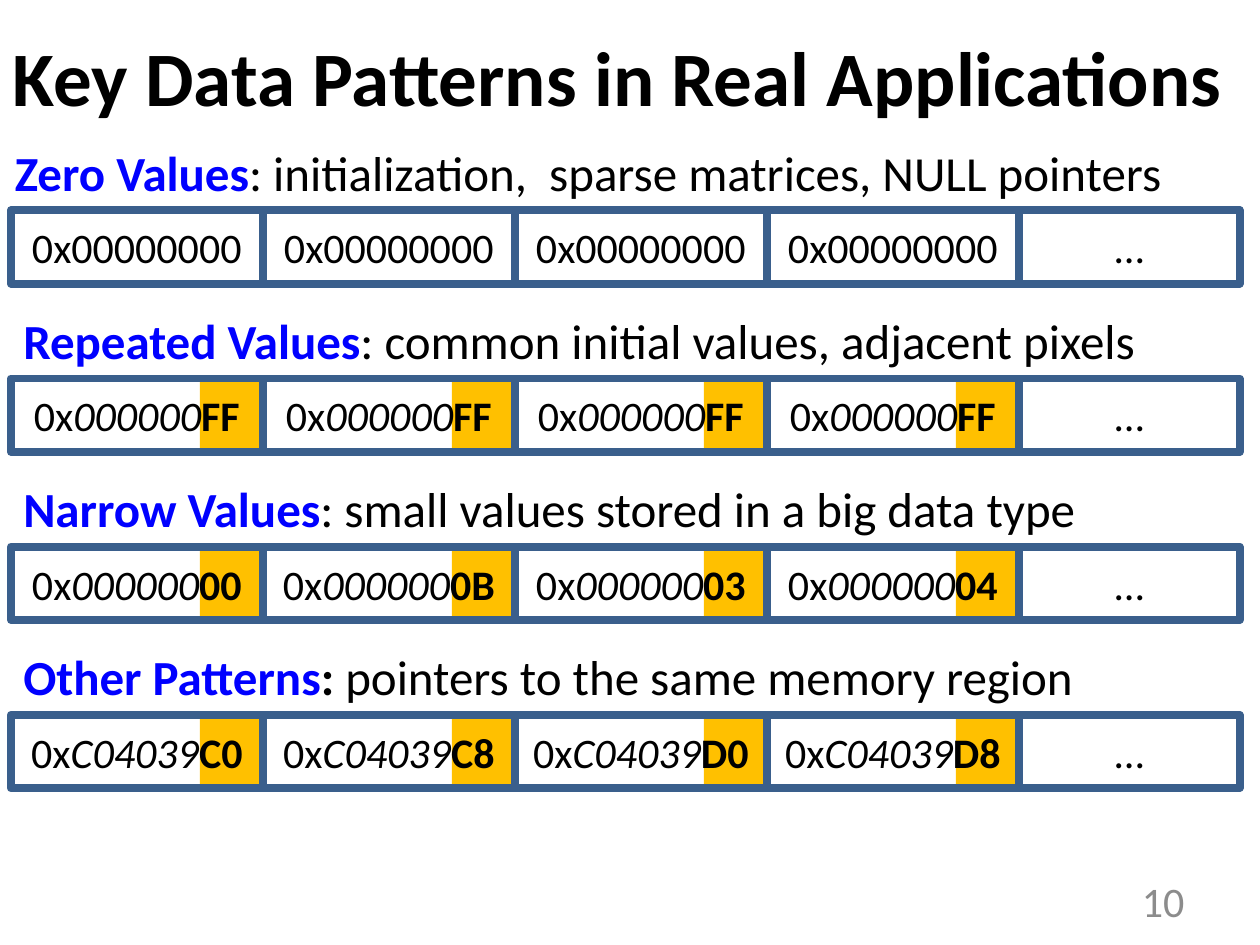
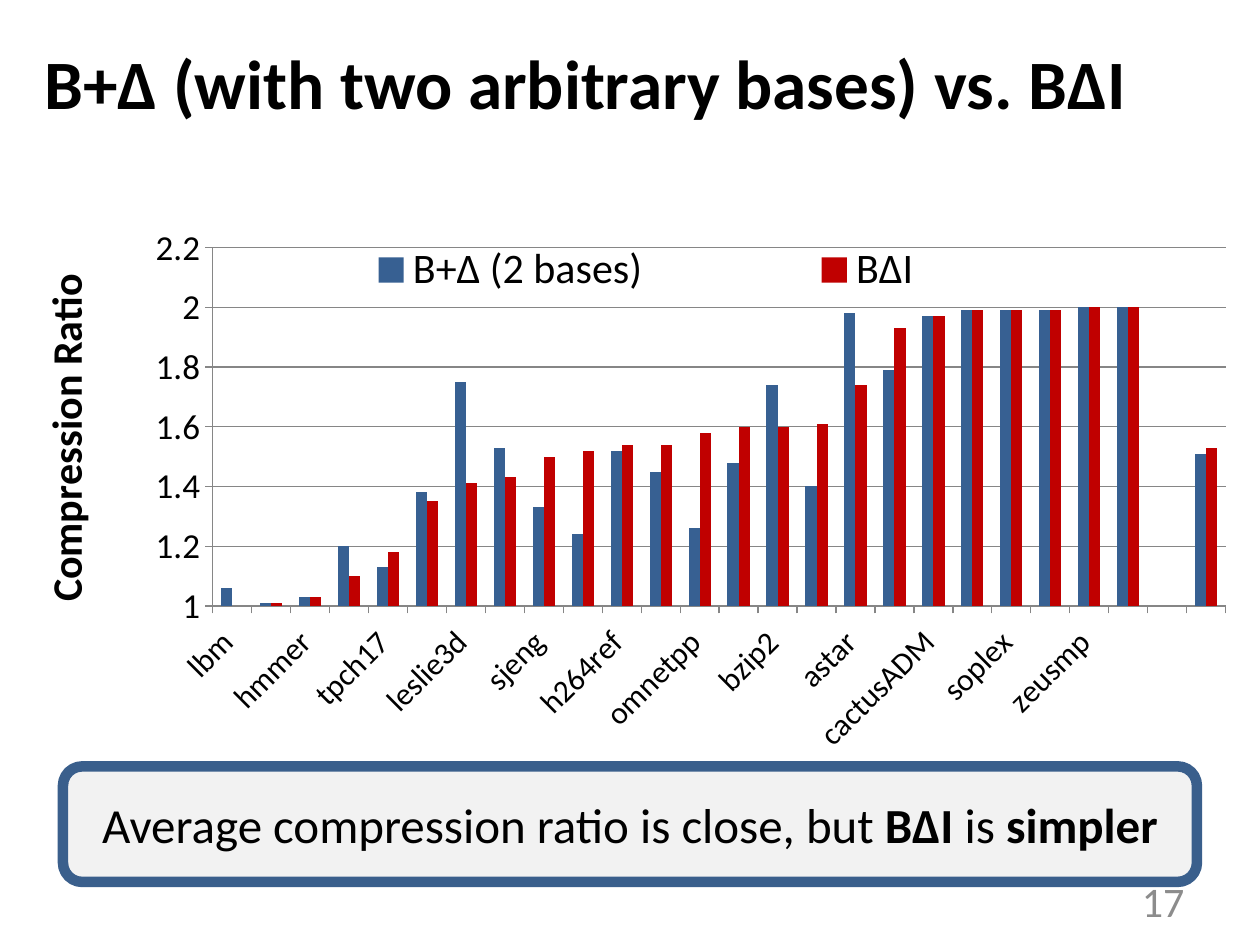
from lxml.etree import SubElement
from pptx import Presentation
from pptx.chart.data import CategoryChartData
from pptx.dml.color import RGBColor
from pptx.enum.chart import XL_CHART_TYPE, XL_LEGEND_POSITION, XL_TICK_MARK
from pptx.enum.shapes import MSO_SHAPE
from pptx.enum.text import MSO_ANCHOR, MSO_AUTO_SIZE, PP_ALIGN
from pptx.oxml.ns import qn
from pptx.util import Cm, Pt

# Shared style
FONT = "Calibri"
BLACK, GRAY = "000000", "8C8C8C"
KEYWORD_BLUE, BORDER_BLUE, SERIES_BLUE = "0000FF", "3A5F8C", "376092"
SERIES_RED, HIGHLIGHT, PALE_GRAY, GRID_GRAY = "C00000", "FFC000", "F2F2F2", "868686"
TITLE_ONLY = 5

# Memory rows, in centimetres
ROW_LEFT, ROW_TOP, ROW_PITCH, ROW_HEIGHT = 0.22, 4.24, 3.39, 1.48
WORD_WIDTH, LAST_WIDTH, LOW_BYTE_WIDTH = 5.08, 4.45, 1.27
HEADING_RISE = 1.5

# Keyword, colon, explanation, common prefix and low bytes of each pattern
PATTERNS = [
    ("Zero Values", ": ", "initialization,  sparse matrices, NULL pointers",
     "", ["00000000"] * 4),
    ("Repeated Values", ": ", "common initial values, adjacent pixels",
     "000000", ["FF"] * 4),
    ("Narrow Values", ": ", "small values stored in a big data type",
     "000000", ["00", "0B", "03", "04"]),
    ("Other Patterns", ": ", "pointers to the same memory region",
     "C04039", ["C0", "C8", "D0", "D8"]),
]

# Benchmark, ratio with two bases, ratio with BΔI
RATIOS = [
    ("lbm ", 1.06, 1), ("wrf ", 1.01, 1.01), ("hmmer ", 1.03, 1.03),
    ("sphinx3 ", 1.2, 1.1), ("tpch17 ", 1.13, 1.18), ("libquantum ", 1.38, 1.35),
    ("leslie3d ", 1.75, 1.41), ("gromacs ", 1.53, 1.43), ("sjeng ", 1.33, 1.5),
    ("mcf ", 1.24, 1.52), ("h264ref ", 1.52, 1.54), ("tpch2 ", 1.45, 1.54),
    ("omnetpp ", 1.26, 1.58), ("server ", 1.48, 1.6), ("bzip2 ", 1.74, 1.6),
    ("xalancbmk ", 1.4, 1.61), ("astar ", 1.98, 1.74), ("tpch6 ", 1.79, 1.93),
    ("cactusADM ", 1.97, 1.97), ("gcc ", 1.99, 1.99), ("soplex ", 1.99, 1.99),
    ("gobmk ", 1.99, 1.99), ("zeusmp ", 2, 2), ("GemsFDTD ", 2, 2),
    ("", None, None), ("GeoMean", 1.51, 1.53),
]


def color(value):
    return RGBColor.from_string(value)


def set_font(font, size, text_color=BLACK, bold=False, italic=False):
    font.name = FONT
    font.size = Pt(size)
    font.bold = bold
    font.italic = italic
    font.color.rgb = color(text_color)


def write_runs(shape, runs, size, align=PP_ALIGN.LEFT, anchor=MSO_ANCHOR.MIDDLE):
    """Fill a shape with one paragraph; each run is text plus font options."""
    frame = shape.text_frame
    frame.word_wrap = True
    frame.auto_size = MSO_AUTO_SIZE.NONE
    frame.vertical_anchor = anchor
    paragraph = frame.paragraphs[0]
    paragraph.alignment = align
    for text, options in runs:
        run = paragraph.add_run()
        run.text = text
        set_font(run.font, size, **options)


def add_titled_slide(presentation, title, number, box, size):
    slide = presentation.slides.add_slide(presentation.slide_layouts[TITLE_ONLY])
    shape = slide.shapes.title
    shape.left, shape.top, shape.width, shape.height = [Cm(value) for value in box]
    write_runs(shape, [(title, {"bold": True})], size)
    add_text(slide, (18.21, 17.65, 5.92, 1.02), [(number, {"text_color": GRAY})],
             24, PP_ALIGN.RIGHT)
    return slide


def add_text(slide, box, runs, size, align=PP_ALIGN.LEFT, anchor=MSO_ANCHOR.MIDDLE):
    shape = slide.shapes.add_textbox(*[Cm(value) for value in box])
    write_runs(shape, runs, size, align, anchor)


def add_box(slide, box, fill=None, line_width=None, kind=MSO_SHAPE.RECTANGLE):
    shape = slide.shapes.add_shape(kind, *[Cm(value) for value in box])
    shape.shadow.inherit = False
    if fill:
        shape.fill.solid()
        shape.fill.fore_color.rgb = color(fill)
    else:
        shape.fill.background()
    if line_width:
        shape.line.color.rgb = color(BORDER_BLUE)
        shape.line.width = Pt(line_width)
    else:
        shape.line.fill.background()
    return shape


def add_cell(slide, left, top, width, runs):
    cell = add_box(slide, (left, top, width, ROW_HEIGHT), line_width=4.5)
    write_runs(cell, runs, 24, PP_ALIGN.CENTER)


def add_memory_row(slide, top, prefix, low_bytes):
    for column, low_byte in enumerate(low_bytes):
        left = ROW_LEFT + column * WORD_WIDTH
        if prefix:
            add_box(slide, (left + WORD_WIDTH - LOW_BYTE_WIDTH, top,
                            LOW_BYTE_WIDTH, ROW_HEIGHT), fill=HIGHLIGHT)
            runs = [("0x", {}), (prefix, {"italic": True}), (low_byte, {"bold": True})]
        else:
            runs = [("0x" + low_byte, {})]
        add_cell(slide, left, top, WORD_WIDTH, runs)
    add_cell(slide, ROW_LEFT + len(low_bytes) * WORD_WIDTH, top, LAST_WIDTH, [("…", {})])


def place_chart_part(element, after=None, inner=False, **fractions):
    """Give a chart part a manual layout, in fractions of the chart."""
    old_layout = element.find(qn("c:layout"))
    if old_layout is not None:
        element.remove(old_layout)
    layout = SubElement(element, qn("c:layout"))
    manual = SubElement(layout, qn("c:manualLayout"))
    if inner:
        SubElement(manual, qn("c:layoutTarget")).set("val", "inner")
    for mode in ("xMode", "yMode"):
        SubElement(manual, qn("c:" + mode)).set("val", "edge")
    for name, value in fractions.items():
        SubElement(manual, qn("c:" + name)).set("val", str(value))
    if after:
        element.find(qn(after)).addnext(layout)
    else:
        element.insert(0, layout)


def style_line(line):
    line.color.rgb = color(GRID_GRAY)
    line.width = Pt(0.75)


def style_axis(axis, size):
    set_font(axis.tick_labels.font, size)
    axis.major_tick_mark = XL_TICK_MARK.OUTSIDE
    axis.minor_tick_mark = XL_TICK_MARK.NONE
    style_line(axis.format.line)


def add_ratio_chart(slide):
    names, two_bases, immediate = zip(*RATIOS)
    data = CategoryChartData()
    data.categories = names
    data.add_series("B+Δ (2 bases)", two_bases)
    data.add_series("BΔI", immediate)
    box = [Cm(value) for value in (0.6, 2.8, 24.6, 12.9)]
    chart = slide.shapes.add_chart(XL_CHART_TYPE.COLUMN_CLUSTERED, *box, data).chart
    chart.has_title = False
    set_font(chart.font, 10)

    # Columns
    plot = chart.plots[0]
    plot.gap_width = 150
    plot.overlap = 0
    plot.vary_by_categories = False
    for series, fill in zip(plot.series, (SERIES_BLUE, SERIES_RED)):
        series.format.fill.solid()
        series.format.fill.fore_color.rgb = color(fill)
        series.invert_if_negative = False
    place_chart_part(chart._chartSpace.chart.plotArea, inner=True,
                     x=0.15, y=0.17, w=0.83, h=0.56)

    # Category axis: slanted labels, every second one
    category_axis = chart.category_axis
    style_axis(category_axis, 18)
    axis_element = category_axis._element
    body = axis_element.find(qn("c:txPr")).find(qn("a:bodyPr"))
    body.set("rot", "-2700000")
    skip = SubElement(axis_element, qn("c:tickLblSkip"))
    skip.set("val", "2")
    axis_element.find(qn("c:lblOffset")).addnext(skip)

    # Value axis
    value_axis = chart.value_axis
    style_axis(value_axis, 20)
    value_axis.minimum_scale, value_axis.maximum_scale = 1, 2.2
    value_axis.major_unit = 0.2
    value_axis.tick_labels.number_format = "General"
    value_axis.tick_labels.number_format_is_linked = False
    value_axis.has_major_gridlines = True
    style_line(value_axis.major_gridlines.format.line)
    title = value_axis.axis_title
    title.text_frame.text = "Compression Ratio"
    set_font(title.text_frame.paragraphs[0].runs[0].font, 24, bold=True)
    place_chart_part(title._element, "c:tx", x=0, y=0.2)

    # Legend over the top of the plot
    chart.has_legend = True
    legend = chart.legend
    legend.position = XL_LEGEND_POSITION.TOP
    legend.include_in_layout = True
    set_font(legend.font, 24)
    place_chart_part(legend._element, "c:legendPos", x=0.15, y=0.16, w=0.71, h=0.09)


def build_patterns_slide(presentation):
    slide = add_titled_slide(presentation, "Key Data Patterns in Real Applications",
                             "10", (0, 0.08, 25.4, 2.9), 44)
    for row, (keyword, colon, explanation, prefix, low_bytes) in enumerate(PATTERNS):
        top = ROW_TOP + row * ROW_PITCH
        add_memory_row(slide, top, prefix, low_bytes)
        heading_left = ROW_LEFT if row else 0.05
        bold_colon = row == len(PATTERNS) - 1
        add_text(slide, (heading_left, top - HEADING_RISE, 24.13, 1.9),
                 [(keyword, {"text_color": KEYWORD_BLUE, "bold": True}),
                  (colon, {"bold": bold_colon}), (explanation, {})],
                 28, anchor=MSO_ANCHOR.TOP)


def build_comparison_slide(presentation):
    slide = add_titled_slide(presentation, "B+Δ (with two arbitrary bases) vs. BΔI",
                             "17", (0.64, 0.06, 24.55, 3.18), 39.6)
    add_ratio_chart(slide)
    # Conclusion
    banner = add_box(slide, (1.27, 15.45, 22.86, 2.33), PALE_GRAY, 6,
                     MSO_SHAPE.ROUNDED_RECTANGLE)
    write_runs(banner, [("Average compression ratio is close, but ", {}),
                        ("BΔI", {"bold": True}), (" is ", {}),
                        ("simpler", {"bold": True})], 28, PP_ALIGN.CENTER)


def main():
    presentation = Presentation()
    presentation.slide_width, presentation.slide_height = Cm(25.4), Cm(19.05)
    build_patterns_slide(presentation)
    build_comparison_slide(presentation)
    presentation.save("out.pptx")


main()
